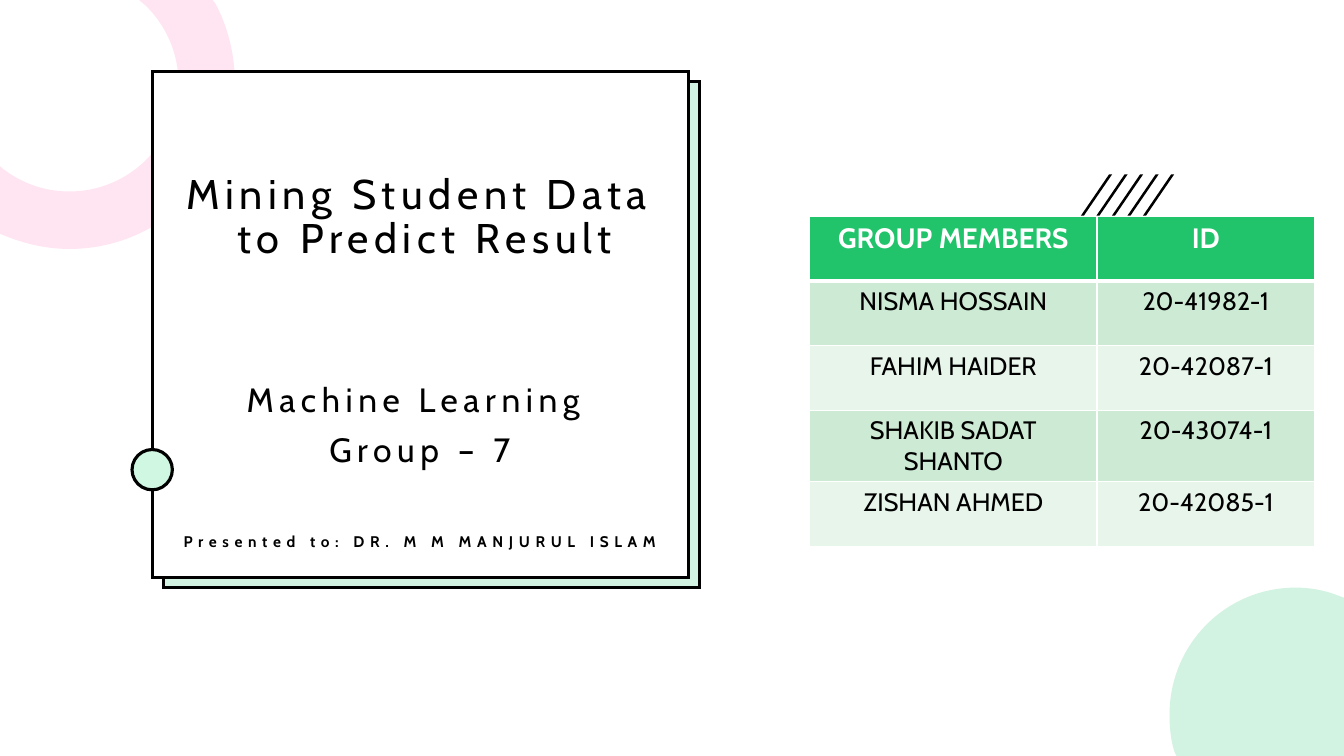
from dataclasses import dataclass

from lxml import etree
from pptx import Presentation
from pptx.dml.color import RGBColor
from pptx.enum.shapes import MSO_SHAPE
from pptx.enum.text import MSO_ANCHOR, MSO_AUTO_SIZE, PP_ALIGN
from pptx.oxml.ns import qn
from pptx.util import Inches, Pt

RECT = MSO_SHAPE.RECTANGLE
OVAL = MSO_SHAPE.OVAL
TOP = MSO_ANCHOR.TOP
FIXED = MSO_AUTO_SIZE.NONE
CENTER = PP_ALIGN.CENTER


@dataclass(frozen=True)
class Theme:
    font: str = "Cabin"
    black: str = "000000"
    white: str = "FFFFFF"
    pink: str = "FF80BD"
    green: str = "21C46B"
    mint: str = "CFF7E1"
    bands: tuple = ("CDEAD4", "E8F5EB")
    title: float = 29.6
    course: float = 24
    credit: float = 11
    head: float = 20
    body: float = 18
    line: float = 2.25


THEME = Theme()
WIDTH, HEIGHT = 13.33, 7.5
RING = [
    (1.38, 0), (2.11, 0), (2.14, 0.04),
    (2.26, 0.27, 2.33, 0.54, 2.33, 0.82),
    (2.33, 1.73, 1.6, 2.47, 0.69, 2.47),
    (0.46, 2.47, 0.25, 2.42, 0.05, 2.34),
    (0, 2.32), (0, 1.65),
    (0.19, 1.81, 0.43, 1.9, 0.69, 1.9),
    (1.28, 1.9, 1.77, 1.42, 1.77, 0.82),
    (1.77, 0.53, 1.65, 0.26, 1.45, 0.06),
]
DISC = [
    (12.85, 5.83),
    (12.98, 5.83, 13.1, 5.85, 13.22, 5.89),
    (WIDTH, 5.93), (WIDTH, HEIGHT), (11.67, HEIGHT), (11.65, 7.46),
    (11.61, 7.34, 11.6, 7.21, 11.6, 7.09),
    (11.6, 6.39, 12.16, 5.83, 12.85, 5.83),
]
MEMBERS = [
    ("GROUP MEMBERS", "ID"),
    ("NISMA HOSSAIN", "20-41982-1"),
    ("FAHIM HAIDER", "20-42087-1"),
    ("SHAKIB SADAT SHANTO", "20-43074-1"),
    ("ZISHAN AHMED", "20-42085-1"),
]


def paint(shape, color, alpha=None, outline=False):
    shape.shadow.inherit = False
    shape.fill.solid()
    shape.fill.fore_color.rgb = RGBColor.from_string(color)
    if alpha:
        tint = shape.fill._xPr.find(".//" + qn("a:srgbClr"))
        etree.SubElement(tint, qn("a:alpha")).set("val", str(alpha * 1000))
    if outline:
        shape.line.color.rgb = RGBColor.from_string(THEME.black)
        shape.line.width = Pt(THEME.line)
        edge = shape.line._get_or_add_ln()
        etree.SubElement(edge, qn("a:miter")).set("lim", "800000")
    else:
        shape.line.fill.background()


def add_box(slide, kind, box, color, alpha=None, outline=True):
    shape = slide.shapes.add_shape(kind, *map(Inches, box))
    paint(shape, color, alpha, outline)


def add_form(slide, steps, color, alpha=None):
    spots = [(Inches(step[i]), Inches(step[i + 1]))
             for step in steps for i in range(0, len(step), 2)]
    form = slide.shapes.build_freeform(*spots[0])
    form.add_line_segments(spots[1:], close=True)
    shape = form.convert_to_shape()
    lines = iter(list(shape.element.iter(qn("a:lnTo"))))
    for step in steps[1:]:
        first = next(lines)
        if len(step) == 6:
            first.tag = qn("a:cubicBezTo")
            for _ in range(2):
                extra = next(lines)
                first.append(extra[0])
                extra.getparent().remove(extra)
    paint(shape, color, alpha)


def add_stripes(slide):
    left, top, base, lean, thick, gap = 10.72, 1.73, 2.14, 0.28, 0.03, 0.154
    for i in range(5):
        x = left + i * gap
        add_form(slide, [(x + thick, base), (x, base), (x + lean, top),
                         (x + lean + thick, top)], THEME.black)


def style(para, size, color, bold=False):
    para.alignment = CENTER
    font = para.font
    font.name = THEME.font
    font.size = Pt(size)
    font.bold = bold
    font.color.rgb = RGBColor.from_string(color)


def write(shape, lines):
    frame = shape.text_frame
    frame.word_wrap = True
    frame.auto_size = FIXED
    frame.vertical_anchor = TOP
    frame.text = "\n".join(line[0] for line in lines)
    for para, (_, size, gap, bold) in zip(frame.paragraphs, lines):
        style(para, size, THEME.black, bold)
        para.line_spacing = 0.9
        para.space_before = Pt(gap)
        props = para._p.get_or_add_pPr()
        props.set("marL", str(Inches(0.25)))
        props.set("indent", str(Inches(-0.25)))
        props.find(qn("a:defRPr")).set("spc", "400")


def add_title(slide):
    title = slide.shapes.title
    title.left, title.top = Inches(1.66), Inches(1.67)
    title.width, title.height = Inches(5.01), Inches(1.28)
    write(title, [("Mining Student Data to Predict Result ",
                   THEME.title, 10, False)])
    slide.shapes._spTree.append(title.element)


def add_text(slide, box, lines):
    write(slide.shapes.add_textbox(*map(Inches, box)), lines)


def rule(cell):
    props = cell._tc.get_or_add_tcPr()
    for i, (side, width) in enumerate(zip("LRTB", (1, 1, 1, 3))):
        edge = etree.Element(qn("a:ln" + side), w=str(Pt(width)))
        fill = etree.SubElement(edge, qn("a:solidFill"))
        etree.SubElement(fill, qn("a:srgbClr")).set("val", THEME.white)
        props.insert(i, edge)


def add_roster(slide):
    box = map(Inches, (8.03, 2.15, 5.01, 3.2))
    table = slide.shapes.add_table(len(MEMBERS), 2, *box).table
    for column, width in zip(table.columns, (2.85, 2.16)):
        column.width = Inches(width)
    for r, row in enumerate(MEMBERS):
        head = r == 0
        fill = THEME.green if head else THEME.bands[(r - 1) % 2]
        color = THEME.white if head else THEME.black
        size = THEME.head if head else THEME.body
        for c, text in enumerate(row):
            cell = table.cell(r, c)
            cell.text = text
            cell.fill.solid()
            cell.fill.fore_color.rgb = RGBColor.from_string(fill)
            style(cell.text_frame.paragraphs[0], size, color, head)
            if head:
                rule(cell)


def main():
    deck = Presentation()
    deck.slide_width, deck.slide_height = Inches(WIDTH), Inches(HEIGHT)
    slide = deck.slides.add_slide(deck.slide_layouts[5])
    back = (1.62, 0.81, 5.32, 5.02)
    add_form(slide, RING, THEME.pink, 20)
    add_box(slide, RECT, back, THEME.white, outline=False)
    add_box(slide, RECT, back, THEME.green, 20)
    add_box(slide, RECT, (1.51, 0.71, 5.32, 5.02), THEME.white)
    add_form(slide, DISC, THEME.white)
    add_form(slide, DISC, THEME.green, 20)
    add_stripes(slide)
    add_box(slide, OVAL, (1.31, 4.46, 0.4, 0.4), THEME.mint)
    add_text(slide, (1.66, 3.75, 5.01, 1.81), [
        ("Machine Learning ", THEME.course, 10, False),
        ("Group – 7", THEME.course, 10, False),
        ("Presented to: DR. M M MANJURUL ISLAM", THEME.credit, 46, True),
    ])
    add_title(slide)
    add_roster(slide)
    deck.save("out.pptx")


if __name__ == "__main__":
    main()
